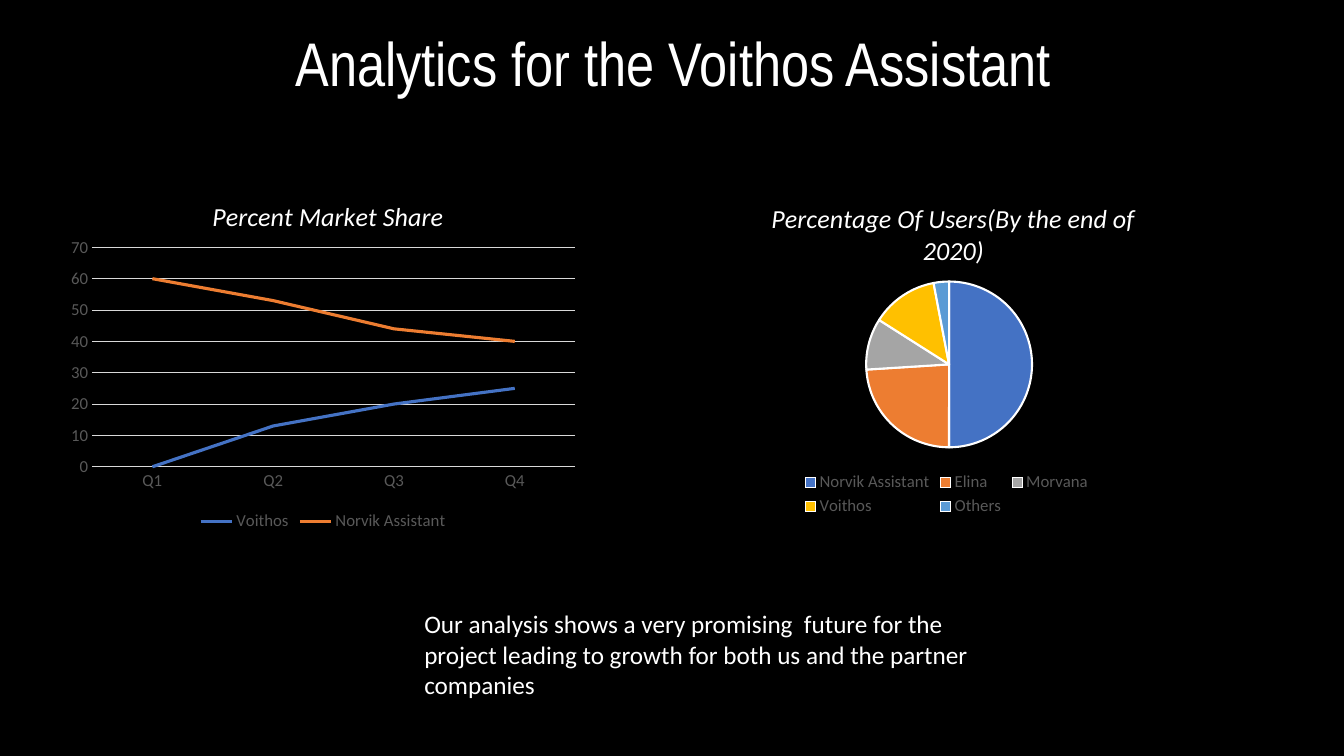
from dataclasses import dataclass

from lxml.etree import SubElement
from pptx import Presentation
from pptx.chart.chart import Chart
from pptx.chart.data import CategoryChartData
from pptx.dml.color import RGBColor
from pptx.enum.chart import XL_CHART_TYPE as ChartType
from pptx.enum.chart import XL_LEGEND_POSITION as LegendPosition
from pptx.enum.chart import XL_TICK_MARK as TickMark
from pptx.enum.text import MSO_ANCHOR as Anchor
from pptx.enum.text import MSO_AUTO_SIZE as AutoSize
from pptx.enum.text import PP_ALIGN as Align
from pptx.oxml.ns import qn
from pptx.util import Inches, Pt

COLORS = {
    "background": "000000",
    "text": "FFFFFF",
    "label": "595959",
    "grid": "D9D9D9",
    "blue": "4472C4",
    "orange": "ED7D31",
    "gray": "A5A5A5",
    "gold": "FFC000",
    "sky": "5B9BD5",
}
PALETTE = ("blue", "orange", "gray", "gold", "sky")


@dataclass
class ChartPanel:
    kind: ChartType
    title: str
    box: tuple[float, float, float, float]
    categories: list[str]
    series: dict[str, list[float]]
    title_at: dict[str, float]  # fractions of the chart area
    plot_at: dict[str, float]


MARKET_SHARE = ChartPanel(
    ChartType.LINE, "Percent Market Share", (0.6, 1.74, 5.21, 3.57),
    ["Q1", "Q2", "Q3", "Q4"],
    {"Voithos": [0, 13, 20, 25], "Norvik Assistant": [60, 53, 44, 40]},
    {"x": 0.28, "y": 0.05},
    {"x": 0.06, "y": 0.2, "w": 0.92, "h": 0.61},
)
USERS = ChartPanel(
    ChartType.PIE, "Percentage Of Users(By the end of 2020)",
    (7.04, 1.73, 4.7, 3.43),
    ["Norvik Assistant", "Elina", "Morvana", "Voithos", "Others"],
    {"Series 1": [50, 24, 10, 13, 3]},
    {"x": 0.12, "y": 0.06},
    {"x": 0.33, "y": 0.31, "w": 0.35, "h": 0.48},
)


def rgb(name: str) -> RGBColor:
    return RGBColor.from_string(COLORS[name])


def style_font(font, size: float, color: str, face: str = "Calibri") -> None:
    font.size = Pt(size)
    font.name = face
    font.color.rgb = rgb(color)


def set_layout(parent, place: dict[str, float], inner: bool = False) -> None:
    """Place a chart part by fractions of the chart area."""
    layout = parent.find(qn("c:layout"))
    if layout is None:
        layout = SubElement(parent, qn("c:layout"))
        leading = parent.find(qn("c:tx"))
        if leading is not None:
            leading.addnext(layout)
        else:
            parent.insert(0, layout)
    for child in list(layout):
        layout.remove(child)
    manual = SubElement(layout, qn("c:manualLayout"))
    if inner:
        SubElement(manual, qn("c:layoutTarget")).set("val", "inner")
    for key in ("x", "y"):
        SubElement(manual, qn(f"c:{key}Mode")).set("val", "edge")
    for key, fraction in place.items():
        SubElement(manual, qn(f"c:{key}")).set("val", str(fraction))


def add_panel(slide, panel: ChartPanel) -> Chart:
    data = CategoryChartData()
    data.categories = panel.categories
    for name, values in panel.series.items():
        data.add_series(name, values)
    frame = slide.shapes.add_chart(panel.kind, *map(Inches, panel.box), data)
    chart = frame.chart
    style_font(chart.font, 10, "background")

    chart.has_title = True
    heading = chart.chart_title.text_frame
    heading.text = panel.title
    heading_font = heading.paragraphs[0].font
    style_font(heading_font, 18.6, "text")
    heading_font.italic = True
    heading_font.bold = False
    chart.chart_title.include_in_layout = False

    chart.has_legend = True
    chart.legend.position = LegendPosition.BOTTOM
    chart.legend.include_in_layout = False
    style_font(chart.legend.font, 12, "label")

    chart_xml = chart.element.find(qn("c:chart"))
    set_layout(chart_xml.find(qn("c:title")), panel.title_at)
    set_layout(chart_xml.find(qn("c:plotArea")), panel.plot_at, inner=True)
    return chart


def style_lines(chart: Chart) -> None:
    chart.plots[0].vary_by_categories = False
    for series, color in zip(chart.plots[0].series, PALETTE):
        series.smooth = False
        series.format.line.color.rgb = rgb(color)
        series.format.line.width = Pt(2.25)
    for axis in (chart.category_axis, chart.value_axis):
        axis.major_tick_mark = axis.minor_tick_mark = TickMark.NONE
        style_font(axis.tick_labels.font, 12, "label")
    chart.value_axis.format.line.fill.background()
    chart.value_axis.minimum_scale = 0
    chart.value_axis.maximum_scale = 70
    chart.value_axis.major_unit = 10
    chart.value_axis.has_major_gridlines = True
    for line in (chart.category_axis.format.line,
                 chart.value_axis.major_gridlines.format.line):
        line.color.rgb = rgb("grid")
        line.width = Pt(0.75)


def style_slices(chart: Chart) -> None:
    chart.plots[0].vary_by_categories = True
    share = chart.plots[0].series[0]
    for index, color in enumerate(PALETTE):
        slice_format = share.points[index].format
        slice_format.fill.solid()
        slice_format.fill.fore_color.rgb = rgb(color)
        slice_format.line.color.rgb = rgb("text")
        slice_format.line.width = Pt(1.5)


def add_title(slide) -> None:
    title = slide.shapes.title
    title.left, title.top = Inches(1), Inches(-0.06)
    title.width, title.height = Inches(11.5), Inches(1.45)
    title.text_frame.text = "Analytics for the Voithos Assistant "
    title.text_frame.auto_size = AutoSize.NONE
    title.text_frame.vertical_anchor = Anchor.MIDDLE
    paragraph = title.text_frame.paragraphs[0]
    paragraph.alignment = Align.CENTER
    paragraph.line_spacing = 0.9
    style_font(paragraph.font, 44, "text", "Arial Narrow")


def add_conclusion(slide) -> None:
    box = slide.shapes.add_textbox(*map(Inches, (4.11, 5.99, 6.03, 1.01)))
    box.text_frame.word_wrap = True
    box.text_frame.auto_size = AutoSize.SHAPE_TO_FIT_TEXT
    box.text_frame.text = (
        "Our analysis shows a very promising  future for the project "
        "leading to growth for both us and the partner companies"
    )
    style_font(box.text_frame.paragraphs[0].font, 18, "text")


def main() -> None:
    deck = Presentation()
    deck.slide_width, deck.slide_height = Inches(13.33), Inches(7.5)
    slide = deck.slides.add_slide(deck.slide_layouts.get_by_name("Title Only"))
    slide.background.fill.solid()
    slide.background.fill.fore_color.rgb = rgb("background")

    add_title(slide)
    # Charts, left and right
    style_lines(add_panel(slide, MARKET_SHARE))
    style_slices(add_panel(slide, USERS))
    add_conclusion(slide)
    deck.save("out.pptx")


if __name__ == "__main__":
    main()
